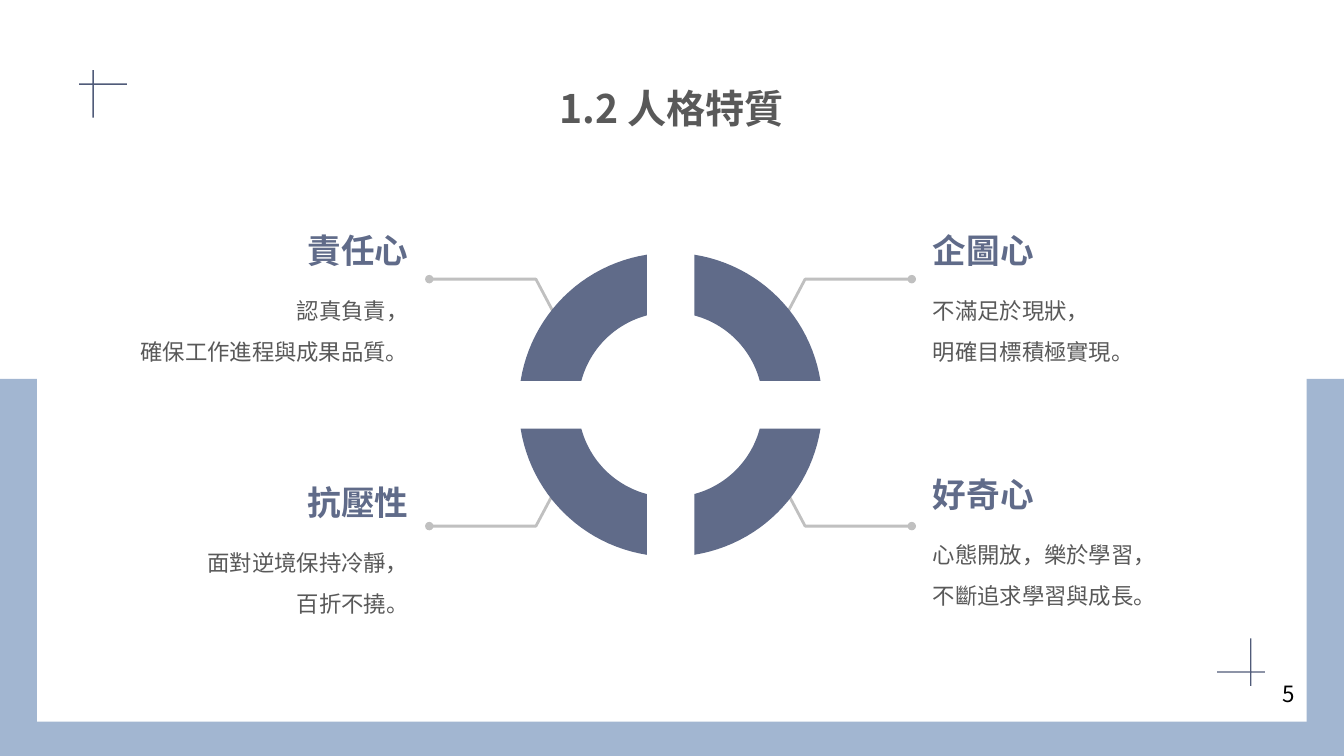
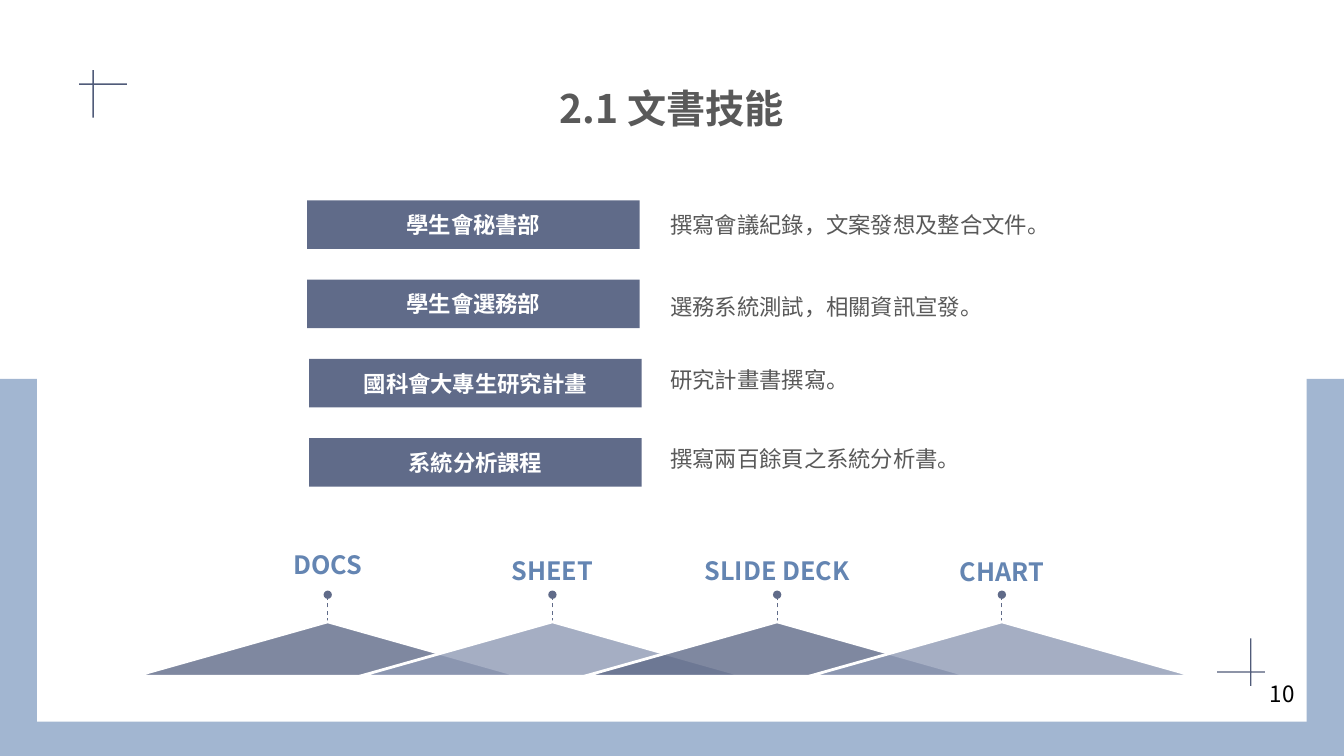
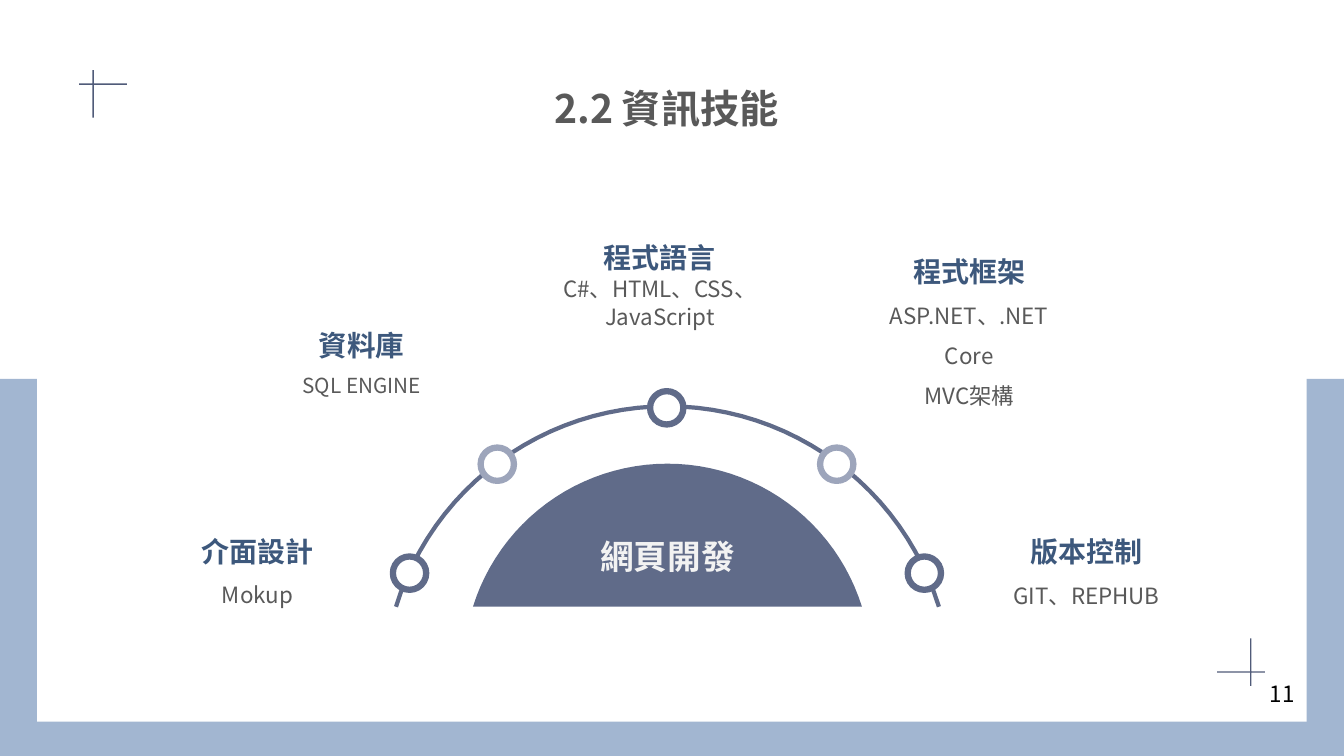
from math import acos, asin, cos, sin

from lxml.etree import SubElement
from pptx import Presentation
from pptx.dml.color import RGBColor
from pptx.enum.dml import MSO_LINE
from pptx.enum.shapes import MSO_CONNECTOR, MSO_SHAPE
from pptx.enum.text import MSO_ANCHOR, MSO_AUTO_SIZE, PP_ALIGN
from pptx.oxml.ns import qn
from pptx.util import Pt

FONT = "Noto Sans CJK SC"
WHITE = RGBColor(0xFF, 0xFF, 0xFF)
BLACK = RGBColor(0x00, 0x00, 0x00)
TEXT = RGBColor(0x59, 0x59, 0x59)
SLATE = RGBColor(0x60, 0x6B, 0x89)
LIGHT_SLATE = RGBColor(0x8F, 0x9A, 0xB5)
PALE_SLATE = RGBColor(0x9D, 0xA5, 0xBB)
BAND = RGBColor(0xA2, 0xB6, 0xD1)
CROSS = RGBColor(0x50, 0x5B, 0x79)
LEADER = RGBColor(0xC0, 0xC0, 0xC0)
TOOL = RGBColor(0x64, 0x85, 0xB2)
SKILL = RGBColor(0x3D, 0x58, 0x7C)
OFF_WHITE = RGBColor(0xF2, 0xF2, 0xF2)


def write(box, lines, align, anchor=MSO_ANCHOR.TOP, margins=(0, 0, 0, 0)):
    """Fill a box with lines of (text, size, colour, bold, line spacing)."""
    frame = box.text_frame
    frame.word_wrap = True
    frame.auto_size = MSO_AUTO_SIZE.NONE
    frame.vertical_anchor = anchor
    left, top, right, bottom = margins
    frame.margin_left, frame.margin_top = Pt(left), Pt(top)
    frame.margin_right, frame.margin_bottom = Pt(right), Pt(bottom)
    for index, (text, size, color, bold, spacing) in enumerate(lines):
        para = frame.add_paragraph() if index else frame.paragraphs[0]
        para.alignment = align
        para.line_spacing = spacing
        span = para.add_run()
        span.text = text
        span.font.size = Pt(size)
        span.font.bold = bold
        span.font.color.rgb = color
        span.font.name = FONT
        SubElement(span._r.get_or_add_rPr(), qn("a:ea"), typeface=FONT)


def paint(shape, fill=None, line=None, width=0):
    shape.shadow.inherit = False
    if fill is None:
        shape.fill.background()
    else:
        shape.fill.solid()
        shape.fill.fore_color.rgb = fill
    if line is None:
        shape.line.fill.background()
    else:
        shape.line.color.rgb = line
        shape.line.width = Pt(width)


deck = Presentation()
deck.slide_width, deck.slide_height = Pt(960.48), Pt(540)
layout = deck.slide_layouts[5]

# Titles and page numbers
pages = []
for title, number, left in [
    ("1.2 人格特質", "5", 352.8),
    ("2.1 文書技能", "10", 352.8),
    ("2.2 資訊技能", "11", 349.2),
]:
    page = deck.slides.add_slide(layout)
    heading = page.shapes.title
    heading.left, heading.top = Pt(left), Pt(56.9)
    heading.width, heading.height = Pt(254), Pt(36)
    write(heading, [(title, 28, TEXT, True, 1.0)], PP_ALIGN.CENTER,
          margins=(7.2, 3.6, 7.2, 3.6))
    box = page.shapes.add_textbox(Pt(709.9), Pt(481.7), Pt(224), Pt(37.4))
    write(box, [(number, 16, BLACK, False, 1.0)], PP_ALIGN.RIGHT,
          margins=(8.6, 4.3, 8.6, 4.3))
    pages.append(page)
traits_page, office_page, coding_page = pages

# Shared backdrop, drawn on a page and moved to the layout
backdrop = []
for left, top, width, height, color in [
    (0, 270.7, 960.48, 269.3, BAND),
    (26.6, 25.2, 907.2, 490.3, WHITE),
]:
    panel = traits_page.shapes.add_shape(
        MSO_SHAPE.RECTANGLE, Pt(left), Pt(top), Pt(width), Pt(height))
    paint(panel, color)
    backdrop.append(panel)

SHORT, LONG, HALF = 10, 24, 0.5
cross_outline = [
    (-HALF, -SHORT), (HALF, -SHORT), (HALF, -HALF), (LONG, -HALF),
    (LONG, HALF), (HALF, HALF), (HALF, LONG), (-HALF, LONG),
    (-HALF, HALF), (-SHORT, HALF), (-SHORT, -HALF), (-HALF, -HALF),
]
for center_x, center_y, turn in [(66.6, 60.1, 1), (893.9, 480, -1)]:
    points = [(Pt(center_x + turn * x), Pt(center_y + turn * y))
              for x, y in cross_outline]
    builder = traits_page.shapes.build_freeform(*points[0])
    builder.add_line_segments(points[1:], close=True)
    cross = builder.convert_to_shape()
    paint(cross, CROSS)
    backdrop.append(cross)
for shape in backdrop:
    layout.shapes.element.append(shape.element)

# Traits: ring of four segments with leaders and texts
RING_X, RING_Y, OUTER, INNER, GAP = 479.2, 289.1, 108.5, 66, 17
STEPS = 24
for side, lift, head_top, name, lines in [
    (1, -1, 126, "企圖心", ["不滿足於現狀，", "明確目標積極實現。"]),
    (-1, -1, 126, "責任心", ["認真負責，", "確保工作進程與成果品質。"]),
    (1, 1, 300.2, "好奇心", ["心態開放，樂於學習，", "不斷追求學習與成長。"]),
    (-1, 1, 306, "抗壓性", ["面對逆境保持冷靜，", "百折不撓。"]),
]:
    near_y, far_y = (222.5, 199.4) if lift < 0 else (352.8, 375.8)
    points = [(Pt(RING_X + side * x), Pt(y))
              for x, y in [(84, near_y), (96.2, far_y), (172.4, far_y)]]
    builder = traits_page.shapes.build_freeform(*points[0])
    builder.add_line_segments(points[1:], close=False)
    leader = builder.convert_to_shape()
    paint(leader, line=LEADER, width=2)
    SubElement(leader.line._get_or_add_ln(), qn("a:tailEnd"), type="oval")

    points = []
    for radius, order in [(OUTER, 1), (INNER, -1)]:
        first, last = asin(GAP / radius), acos(GAP / radius)
        angles = [first + (last - first) * step / STEPS
                  for step in range(STEPS + 1)]
        points += [(Pt(RING_X + side * radius * cos(angle)),
                    Pt(RING_Y + lift * radius * sin(angle)))
                   for angle in angles[::order]]
    builder = traits_page.shapes.build_freeform(*points[0])
    builder.add_line_segments(points[1:], close=True)
    paint(builder.convert_to_shape(), SLATE)

    left, align = (666.7, PP_ALIGN.LEFT) if side > 0 else (82, PP_ALIGN.RIGHT)
    box = traits_page.shapes.add_textbox(Pt(left), Pt(head_top), Pt(210), Pt(67))
    write(box, [(name, 24, SLATE, True, 1.0)], align, MSO_ANCHOR.BOTTOM)
    box = traits_page.shapes.add_textbox(
        Pt(left), Pt(head_top + 77), Pt(210), Pt(42))
    write(box, [(line, 16, TEXT, False, 1.5) for line in lines], align)

# Office skills: labelled bars
for row, (left, text_top, name, detail) in enumerate([
    (219.6, 150.5, "學生會秘書部", "撰寫會議紀錄，文案發想及整合文件。"),
    (219.6, 209.5, "學生會選務部", "選務系統測試，相關資訊宣發。"),
    (221, 261.4, "國科會大專生研究計畫", "研究計畫書撰寫。"),
    (221, 318.2, "系統分析課程", "撰寫兩百餘頁之系統分析書。"),
]):
    bar = office_page.shapes.add_shape(
        MSO_SHAPE.RECTANGLE, Pt(left), Pt(143.2 + 56.6 * row), Pt(237.6), Pt(34.6))
    paint(bar, SLATE)
    write(bar, [(name, 16, WHITE, True, 1.0)], PP_ALIGN.CENTER, MSO_ANCHOR.MIDDLE)
    box = office_page.shapes.add_textbox(Pt(479), Pt(text_top), Pt(351), Pt(24))
    write(box, [(detail, 16, TEXT, False, 1.0)], PP_ALIGN.LEFT)

# Office skills: overlapping peaks
for index, (tool, label_top, color) in enumerate([
    ("DOCS", 383.8, SLATE),
    ("SHEET", 388, LIGHT_SLATE),
    ("SLIDE DECK", 388, SLATE),
    ("CHART", 388.8, LIGHT_SLATE),
]):
    shift = 160.6 * index
    apex = Pt(234.2 + shift)
    stalk = office_page.shapes.add_connector(
        MSO_CONNECTOR.STRAIGHT, apex, Pt(444.2), apex, Pt(424.8))
    stalk.line.color.rgb = SLATE
    stalk.line.width = Pt(0.75)
    stalk.line.dash_style = MSO_LINE.DASH
    SubElement(stalk.line._get_or_add_ln(), qn("a:tailEnd"), type="oval")
    SubElement(stalk.element.spPr, qn("a:effectLst"))
    peak = office_page.shapes.add_shape(
        MSO_SHAPE.ISOSCELES_TRIANGLE,
        Pt(96.3 + shift), Pt(444.2), Pt(275.8), Pt(38.9))
    paint(peak, color, WHITE, 2)
    SubElement(peak.element.find(".//" + qn("a:srgbClr")), qn("a:alpha"), val="80000")
    box = office_page.shapes.add_textbox(
        Pt(118.6 + shift), Pt(label_top), Pt(231), Pt(25))
    write(box, [(tool, 18, TOOL, True, 1.2)], PP_ALIGN.CENTER,
          margins=(8.6, 4.3, 8.6, 4.3))

# Coding skills: arc and dome
ARC_X, BASE = 477, 433.4
curves = []
for apex, half_width in [(290.2, 194), (331.2, 139)]:
    rise = BASE - apex
    radius = (half_width ** 2 + rise ** 2) / (2 * rise)
    reach = asin(half_width / radius)
    angles = [reach * (step / STEPS - 1) for step in range(2 * STEPS + 1)]
    points = [(Pt(ARC_X + radius * sin(angle)),
               Pt(apex + radius * (1 - cos(angle)))) for angle in angles]
    builder = coding_page.shapes.build_freeform(*points[0])
    builder.add_line_segments(points[1:], close=False)
    curves.append(builder.convert_to_shape())
arc, dome = curves
paint(arc, line=SLATE, width=3)
paint(dome, SLATE)
write(dome, [("網頁開發", 24, OFF_WHITE, True, 1.5)], PP_ALIGN.CENTER,
      MSO_ANCHOR.MIDDLE, (13.7, 20.2, 13.7, 4.3))

for left, top, color in [
    (280.8, 397.5, SLATE),
    (343.5, 319.7, PALE_SLATE),
    (464.6, 279.4, SLATE),
    (586.1, 319.7, PALE_SLATE),
    (648.7, 397.5, SLATE),
]:
    knot = coding_page.shapes.add_shape(
        MSO_SHAPE.OVAL, Pt(left), Pt(top), Pt(23.8), Pt(23.8))
    paint(knot, WHITE, color, 4.5)

for left, top, width, height, name, size, spacing, details, detail_size, detail_spacing in [
    (108, 353.5, 152, 85, "介面設計", 20, 1.5, ["Mokup"], 16, 1.5),
    (184.3, 221.8, 148.3, 66.2, "資料庫", 20.4, 1.4, ["SQL ENGINE"], 14.8, 1.4),
    (397.4, 133.2, 148.3, 106.6, "程式語言", 20, 2.0,
     ["C#、HTML、CSS、JavaScript"], 16, 1.04),
    (623.5, 203.8, 138.2, 92.9, "程式框架", 20, 1.5,
     ["ASP.NET、.NET Core", "MVC架構"], 16, 1.5),
    (692.6, 354.2, 167.8, 85, "版本控制", 20, 1.5, ["GIT、REPHUB"], 16, 1.5),
]:
    box = coding_page.shapes.add_textbox(Pt(left), Pt(top), Pt(width), Pt(height))
    lines = [(name, size, SKILL, True, spacing)]
    lines += [(detail, detail_size, TEXT, False, detail_spacing) for detail in details]
    write(box, lines, PP_ALIGN.CENTER, MSO_ANCHOR.BOTTOM, (0, 4.3, 0, 4.3))

deck.save("out.pptx")
